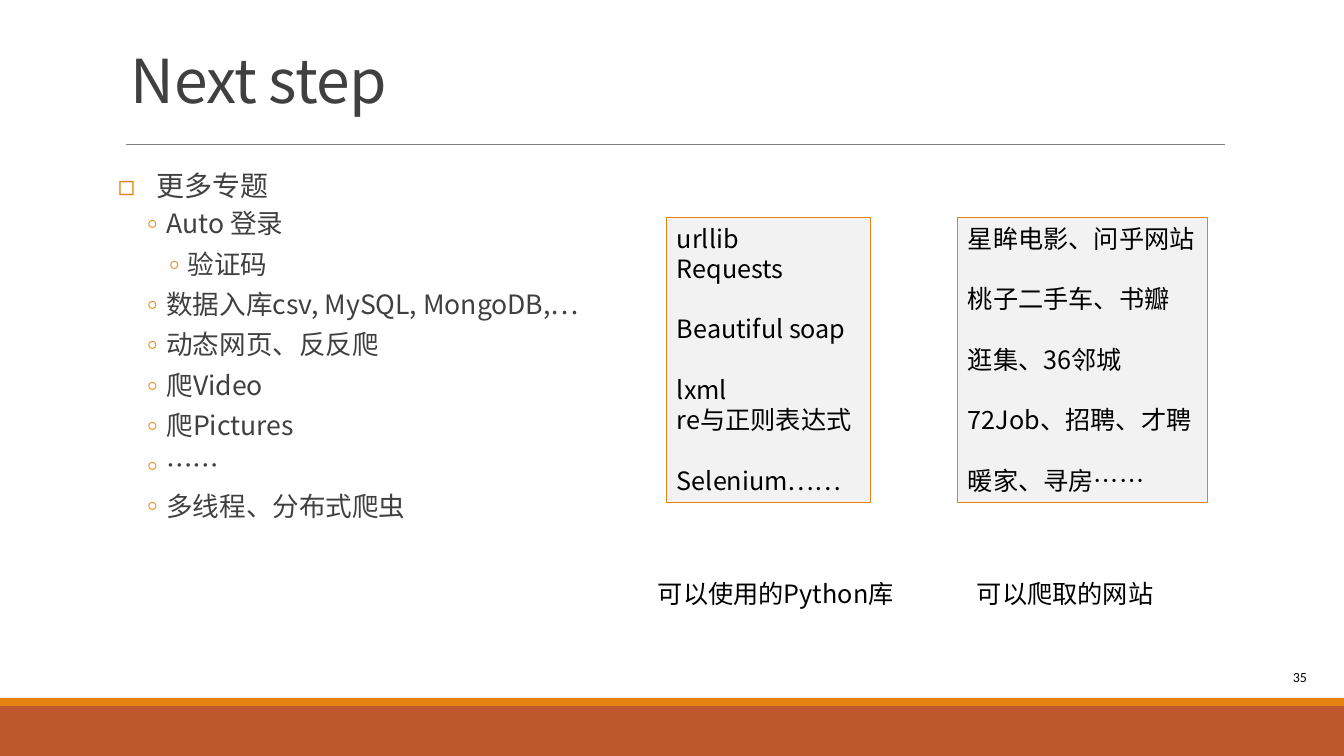
import dataclasses
import typing

import lxml.etree
import pptx
import pptx.dml.color
import pptx.enum.shapes
import pptx.enum.text
import pptx.oxml.ns
import pptx.util

RGBColor = pptx.dml.color.RGBColor
ORANGE = RGBColor(0xE4, 0x83, 0x12)
RUST = RGBColor(0xBD, 0x58, 0x2C)
GRAY = RGBColor(0x80, 0x80, 0x80)
PANEL = RGBColor(0xF2, 0xF2, 0xF2)
DARK = RGBColor(0x40, 0x40, 0x40)
BLACK = RGBColor(0, 0, 0)

PIXELS_PER_INCH = 100.8
CJK_FONT = "Noto Sans CJK SC"
ANCHOR = pptx.enum.text.MSO_ANCHOR
ALIGN = pptx.enum.text.PP_ALIGN
BLANK_LINE = 21.6


class Box(typing.NamedTuple):
    left: int
    top: int
    width: int
    height: int


class Bullet(typing.NamedTuple):
    character: str
    margin: int
    hanging: int


SQUARE = Bullet("◻", 38, 38)
CIRCLE = Bullet("◦", 42, 20)
INNER_CIRCLE = Bullet("◦", 63, 20)


@dataclasses.dataclass
class Line:
    text: str
    size: float = 18
    color: RGBColor = BLACK
    font: str = CJK_FONT
    before: float = 0
    after: float = 0
    align: ALIGN = ALIGN.LEFT
    bullet: typing.Optional[Bullet] = None
    tracking: int = 0


@dataclasses.dataclass
class TextBlock:
    box: Box
    lines: list[Line]
    anchor: ANCHOR = ANCHOR.TOP
    wrap: bool = True
    inset: int = 10
    panel: bool = False


def topic(text: str, bullet: Bullet = CIRCLE) -> Line:
    return Line(text, 19, DARK, before=2, after=4, bullet=bullet)


BANDS = [(Box(0, 706, 1344, 50), RUST), (Box(0, 698, 1344, 8), ORANGE)]
TOPICS = [
    Line("更多专题", 20, DARK, after=2, bullet=SQUARE),
    topic("Auto 登录"),
    topic("验证码", INNER_CIRCLE),
    *map(topic, ["数据入库csv, MySQL, MongoDB,…", "动态网页、反反爬", "爬Video",
                 "爬Pictures", "……", "多线程、分布式爬虫"]),
]
LIBRARIES = [
    Line("urllib"),
    Line("Requests"),
    Line("Beautiful soap", before=BLANK_LINE),
    Line("lxml", before=BLANK_LINE),
    Line("re与正则表达式"),
    Line("Selenium……", before=BLANK_LINE),
]
SITES = [
    Line("星眸电影、问乎网站"),
    *(Line(text, before=BLANK_LINE) for text in
      ["桃子二手车、书瓣", "逛集、36邻城", "72Job、招聘、才聘", "暖家、寻房……"]),
]
BLOCKS = [
    TextBlock(Box(1277, 650, 40, 40),
              [Line("35", 10, font="Calibri", align=ALIGN.RIGHT)], ANCHOR.BOTTOM),
    TextBlock(Box(121, 31, 1109, 90),
              [Line("Next step", 43.2, DARK, tracking=-50)], ANCHOR.BOTTOM),
    TextBlock(Box(118, 163, 1109, 523), TOPICS, inset=0),
    TextBlock(Box(958, 218, 250, 285), SITES, wrap=False, panel=True),
    TextBlock(Box(667, 218, 204, 285), LIBRARIES, wrap=False, panel=True),
    TextBlock(Box(648, 573, 259, 40), [Line("可以使用的Python库")]),
    TextBlock(Box(967, 573, 199, 40), [Line("可以爬取的网站")], wrap=False),
]


def px(length: int) -> pptx.util.Emu:
    return pptx.util.Emu(round(length * 914400 / PIXELS_PER_INCH))


def apply(target: typing.Any, values: dict[str, typing.Any]) -> None:
    for name, value in values.items():
        setattr(target, name, value)


def add_element(parent: typing.Any, tag: str, **attributes: str) -> typing.Any:
    return lxml.etree.SubElement(parent, pptx.oxml.ns.qn(tag), attributes)


def add_rectangle(slide: typing.Any, box: Box, fill: RGBColor) -> typing.Any:
    shape = slide.shapes.add_shape(
        pptx.enum.shapes.MSO_SHAPE.RECTANGLE, *map(px, box))
    shape.shadow.inherit = False
    shape.fill.solid()
    shape.fill.fore_color.rgb = fill
    shape.line.fill.background()
    return shape


def add_rule(slide: typing.Any, left: int, right: int, y: int) -> None:
    rule = slide.shapes.add_connector(
        pptx.enum.shapes.MSO_CONNECTOR.STRAIGHT, px(left), px(y), px(right), px(y))
    rule.line.color.rgb = GRAY
    rule.line.width = pptx.util.Pt(0.5)
    add_element(rule._element.spPr, "a:effectLst")


def add_bullet(paragraph: typing.Any, bullet: Bullet) -> None:
    properties = paragraph._p.get_or_add_pPr()
    properties.set("marL", str(px(bullet.margin)))
    properties.set("indent", str(-px(bullet.hanging)))
    color = add_element(properties, "a:buClr")
    add_element(color, "a:srgbClr", val=str(ORANGE))
    add_element(properties, "a:buFont", typeface=CJK_FONT)
    add_element(properties, "a:buChar", char=bullet.character)


def write_line(paragraph: typing.Any, line: Line) -> None:
    if line.bullet:
        add_bullet(paragraph, line.bullet)
    apply(paragraph, {
        "alignment": line.align,
        "space_before": pptx.util.Pt(line.before),
        "space_after": pptx.util.Pt(line.after),
    })
    run = paragraph.add_run()
    run.text = line.text
    apply(run.font, {"size": pptx.util.Pt(line.size), "name": line.font})
    run.font.color.rgb = line.color
    properties = run._r.get_or_add_rPr()
    properties.set("spc", str(line.tracking))
    add_element(properties, "a:ea", typeface=line.font)


def add_text_block(slide: typing.Any, block: TextBlock) -> None:
    if block.panel:
        shape = add_rectangle(slide, block.box, PANEL)
        shape.line.color.rgb = ORANGE
        shape.line.width = pptx.util.Pt(0.75)
    else:
        shape = slide.shapes.add_textbox(*map(px, block.box))
    frame = shape.text_frame
    apply(frame, {
        "word_wrap": block.wrap,
        "vertical_anchor": block.anchor,
        "margin_left": px(block.inset),
        "margin_right": px(block.inset),
        "margin_top": px(5),
        "margin_bottom": px(5),
    })
    for index, line in enumerate(block.lines):
        write_line(frame.add_paragraph() if index else frame.paragraphs[0], line)


def main() -> None:
    """Build the next-step slide and save it."""
    presentation = pptx.Presentation()
    apply(presentation, {"slide_width": px(1344), "slide_height": px(756)})
    slide = presentation.slides.add_slide(presentation.slide_layouts[6])
    for box, color in BANDS:
        add_rectangle(slide, box, color)
    add_rule(slide, 126, 1225, 144)
    for block in BLOCKS:
        add_text_block(slide, block)
    presentation.save("out.pptx")


if __name__ == "__main__":
    main()
